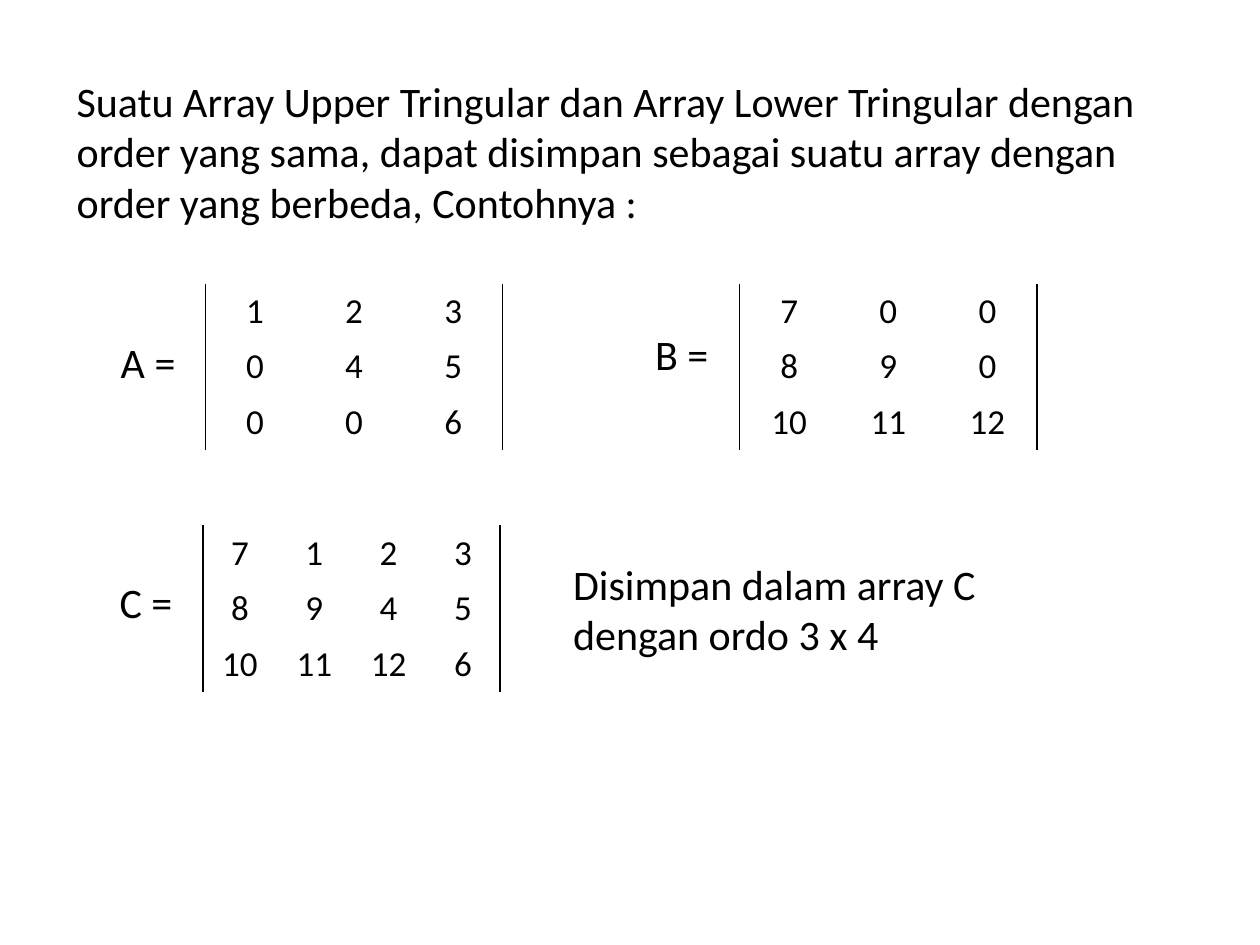
from lxml.etree import SubElement
from pptx import Presentation
from pptx.dml.color import RGBColor
from pptx.enum.text import MSO_AUTO_SIZE, PP_ALIGN
from pptx.oxml.ns import qn
from pptx.util import Inches, Pt

COLORS = {"text": "000000", "bar": "000000"}
NO_STYLE_NO_GRID = "{2D5ABB26-0587-4C30-8999-92F81FD0307C}"
MATRIX_WIDTH, MATRIX_HEIGHT = 2.36, 1.3


def write_text(text_frame, text, size, alignment=PP_ALIGN.LEFT):
    text_frame.text = text
    paragraph = text_frame.paragraphs[0]
    paragraph.alignment = alignment
    font = paragraph.runs[0].font
    font.name = "Calibri"
    font.size = Pt(size)
    font.color.rgb = RGBColor.from_string(COLORS["text"])


def add_bar(cell, side):
    properties = cell._tc.get_or_add_tcPr()
    line = SubElement(properties, qn(f"a:{side}"), w=str(Pt(1)))
    fill = SubElement(line, qn("a:solidFill"))
    SubElement(fill, qn("a:srgbClr"), val=COLORS["bar"])
    properties.insert(0, line)  # borders come before the cell fill


presentation = Presentation()
presentation.slide_width = Inches(10)
presentation.slide_height = Inches(7.5)
slide = presentation.slides.add_slide(presentation.slide_layouts[6])

# Matrices: left, top, rows
matrices = [
    (1.63, 2.25, [[1, 2, 3], [0, 4, 5], [0, 0, 6]]),
    (5.87, 2.25, [[7, 0, 0], [8, 9, 0], [10, 11, 12]]),
    (1.61, 4.17, [[7, 1, 2, 3], [8, 9, 4, 5], [10, 11, 12, 6]]),
]
for left, top, rows in matrices:
    column_count = len(rows[0])
    shape = slide.shapes.add_table(
        len(rows), column_count, Inches(left), Inches(top),
        Inches(MATRIX_WIDTH), Inches(MATRIX_HEIGHT))
    table = shape.table
    table.first_row = False
    table.horz_banding = False
    table._tbl.tblPr.find(qn("a:tableStyleId")).text = NO_STYLE_NO_GRID
    for row_index, values in enumerate(rows):
        for column_index, value in enumerate(values):
            cell = table.cell(row_index, column_index)
            cell.fill.background()
            write_text(cell.text_frame, str(value), 20, PP_ALIGN.CENTER)
        add_bar(table.cell(row_index, 0), "lnL")
        add_bar(table.cell(row_index, column_count - 1), "lnR")

# Introduction, matrix names and closing remark: left, top, width, height, wrap, text
texts = [
    (0.51, 0.55, 8.98, 1.31, True,
     "Suatu Array Upper Tringular dan Array Lower Tringular dengan order yang sama, "
     "dapat disimpan sebagai suatu array dengan order yang berbeda, Contohnya :"),
    (0.86, 2.62, 0.72, 0.5, False, "A ="),
    (5.1, 2.56, 0.72, 0.5, False, "B ="),
    (0.85, 4.53, 0.72, 0.5, False, "C ="),
    (4.45, 4.38, 4.02, 0.91, True, "Disimpan dalam array C dengan ordo 3 x 4"),
]
for left, top, width, height, wrap, text in texts:
    shape = slide.shapes.add_textbox(
        Inches(left), Inches(top), Inches(width), Inches(height))
    shape.text_frame.word_wrap = wrap
    shape.text_frame.auto_size = MSO_AUTO_SIZE.SHAPE_TO_FIT_TEXT
    write_text(shape.text_frame, text, 24)

presentation.save("out.pptx")
